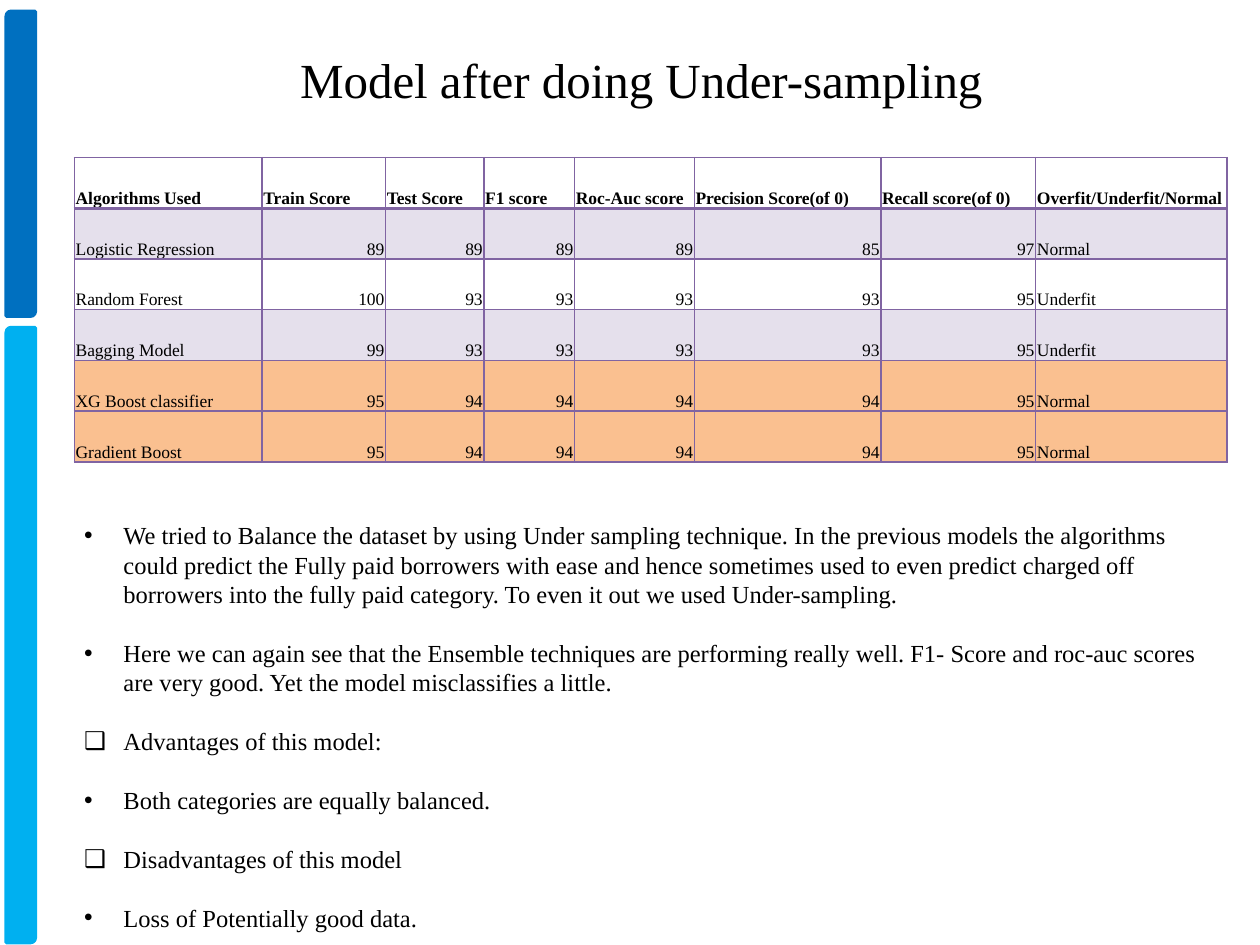
"""Build the slide on model scores after under-sampling."""
from dataclasses import dataclass

import lxml.etree
import pptx
import pptx.dml.color
import pptx.enum.shapes
import pptx.enum.text
import pptx.oxml
import pptx.oxml.ns
import pptx.util

Pt = pptx.util.Pt
RGB = pptx.dml.color.RGBColor.from_string
Anchor = pptx.enum.text.MSO_ANCHOR
Align = pptx.enum.text.PP_ALIGN
qn = pptx.oxml.ns.qn


@dataclass(frozen=True)
class Theme:
    font: str = "Times New Roman"
    ink: str = "000000"
    deep_blue: str = "0070C0"
    light_blue: str = "00B0F0"
    purple: str = "8064A2"
    orange: str = "FAC090"
    title_size: float = 28
    body_size: float = 14
    table_size: float = 10


@dataclass(frozen=True)
class Bar:
    top: float
    height: float
    color: str


@dataclass(frozen=True)
class Score:
    algorithm: str
    values: tuple[int, ...]
    verdict: str
    fill: str = ""
    alpha: int = 100


@dataclass(frozen=True)
class Point:
    text: str
    bullet: str = "•"


THEME = Theme()
BARS = (Bar(6.5, 174.2, THEME.deep_blue), Bar(187.2, 351.4, THEME.light_blue))
HEADINGS = (
    "Algorithms Used", "Train Score", "Test Score", "F1 score", "Roc-Auc score",
    "Precision Score(of 0)", "Recall score(of 0)", "Overfit/Underfit/Normal",
)
COLUMN_WIDTHS = (107.3, 70.6, 56.2, 51.8, 68.4, 106.6, 88.5, 109.4)
ROW_HEIGHT = 29
SCORES = (
    Score("Logistic Regression", (89, 89, 89, 89, 85, 97), "Normal", THEME.purple, 20),
    Score("Random Forest", (100, 93, 93, 93, 93, 95), "Underfit"),
    Score("Bagging Model", (99, 93, 93, 93, 93, 95), "Underfit", THEME.purple, 20),
    Score("XG Boost classifier", (95, 94, 94, 94, 94, 95), "Normal", THEME.orange),
    Score("Gradient Boost", (95, 94, 94, 94, 94, 95), "Normal", THEME.orange),
)
POINTS = (
    Point(
        "We tried to Balance the dataset by using Under sampling technique. In the "
        "previous models the algorithms could predict the Fully paid borrowers with ease "
        "and hence sometimes used to even predict charged off borrowers into the fully "
        "paid category. To even it out we used Under-sampling."
    ),
    Point(
        "Here we can again see that the Ensemble techniques are performing really well. "
        "F1- Score and roc-auc scores are very good. Yet the model misclassifies a little."
    ),
    Point("Advantages of this model:", "❑"),
    Point("Both categories are equally balanced."),
    Point("Disadvantages of this model", "❑"),
    Point("Loss of Potentially good data."),
)


def set_font(paragraph, size: float, bold: bool = False) -> None:
    font = paragraph.font
    font.name, font.size, font.bold = THEME.font, Pt(size), bold
    font.color.rgb = RGB(THEME.ink)


def add_bar(slide, bar: Bar) -> None:
    shape = slide.shapes.add_shape(
        pptx.enum.shapes.MSO_SHAPE.ROUND_2_DIAG_RECTANGLE,
        Pt(3.6), Pt(bar.top), Pt(16.6), Pt(bar.height),
    )
    shape.shadow.inherit = False
    shape.fill.solid()
    shape.fill.fore_color.rgb = shape.line.color.rgb = RGB(bar.color)
    shape.line.width = Pt(2)


def set_title(slide, text: str) -> None:
    title = slide.shapes.title
    title.left, title.top, title.width, title.height = Pt(42.5), Pt(0), Pt(648), Pt(90)
    title.text_frame.text = text
    title.text_frame.vertical_anchor = Anchor.MIDDLE
    heading = title.text_frame.paragraphs[0]
    heading.alignment = Align.CENTER
    set_font(heading, THEME.title_size)


def set_borders(cell, top: float, bottom: float) -> None:
    properties = cell._tc.get_or_add_tcPr()
    widths = (("lnL", 1), ("lnR", 1), ("lnT", top), ("lnB", bottom))
    for position, (side, width) in enumerate(widths):
        border = lxml.etree.Element(qn(f"a:{side}"), w=str(Pt(width)))
        fill = lxml.etree.SubElement(border, qn("a:solidFill"))
        lxml.etree.SubElement(fill, qn("a:srgbClr"), val=THEME.purple)
        properties.insert(position, border)


def fill_cell(cell, color: str, alpha: int) -> None:
    if not color:
        cell.fill.background()
        return
    cell.fill.solid()
    cell.fill.fore_color.rgb = RGB(color)
    if alpha < 100:
        tint = cell._tc.tcPr.find(f".//{qn('a:srgbClr')}")
        lxml.etree.SubElement(tint, qn("a:alpha"), val=str(alpha * 1000))


def write_cell(cell, value: str | int, bold: bool = False) -> None:
    cell.margin_left = cell.margin_right = cell.margin_top = Pt(0.75)
    cell.margin_bottom = Pt(0)
    cell.vertical_anchor = Anchor.BOTTOM
    cell.text = str(value)
    paragraph = cell.text_frame.paragraphs[0]
    paragraph.alignment = Align.RIGHT if isinstance(value, int) else Align.LEFT
    set_font(paragraph, THEME.table_size, bold)


def add_scores(slide) -> None:
    row_count = len(SCORES) + 1
    table = slide.shapes.add_table(
        row_count, len(HEADINGS), Pt(42.5), Pt(90),
        Pt(sum(COLUMN_WIDTHS)), Pt(ROW_HEIGHT * row_count),
    ).table
    for column, width in zip(table.columns, COLUMN_WIDTHS):
        column.width = Pt(width)
    for row in table.rows:
        row.height = Pt(ROW_HEIGHT)
    for column, heading in enumerate(HEADINGS):
        cell = table.cell(0, column)
        write_cell(cell, heading, bold=True)
        fill_cell(cell, "", 100)
        set_borders(cell, 1, 2)
    for row, score in enumerate(SCORES, start=1):
        for column, value in enumerate((score.algorithm, *score.values, score.verdict)):
            cell = table.cell(row, column)
            write_cell(cell, value)
            fill_cell(cell, score.fill, score.alpha)
            set_borders(cell, 2 if row == 1 else 1, 1)


def add_points(slide) -> None:
    box = slide.shapes.add_textbox(Pt(41), Pt(293.8), Pt(665.3), Pt(244.8))
    frame = box.text_frame
    frame.word_wrap = True
    frame.auto_size = pptx.enum.text.MSO_AUTO_SIZE.SHAPE_TO_FIT_TEXT
    for index, point in enumerate(POINTS):
        paragraph = frame.add_paragraph() if index else frame.paragraphs[0]
        paragraph.text = point.text
        if index:
            paragraph.space_before = Pt(16.8)
        properties = paragraph._p.get_or_add_pPr()
        properties.set("marL", str(Pt(22.5)))
        properties.set("indent", str(Pt(-22.5)))
        lxml.etree.SubElement(properties, qn("a:buFont"), typeface="Arial")
        lxml.etree.SubElement(properties, qn("a:buChar"), char=point.bullet)
        set_font(paragraph, THEME.body_size)


def main() -> None:
    deck = pptx.Presentation()
    deck.slide_width, deck.slide_height = Pt(720), Pt(540)
    slide = deck.slides.add_slide(deck.slide_layouts[5])
    for bar in BARS:
        add_bar(slide, bar)
    set_title(slide, "Model after doing Under-sampling")
    add_scores(slide)
    add_points(slide)
    deck.save("out.pptx")


if __name__ == "__main__":
    main()
